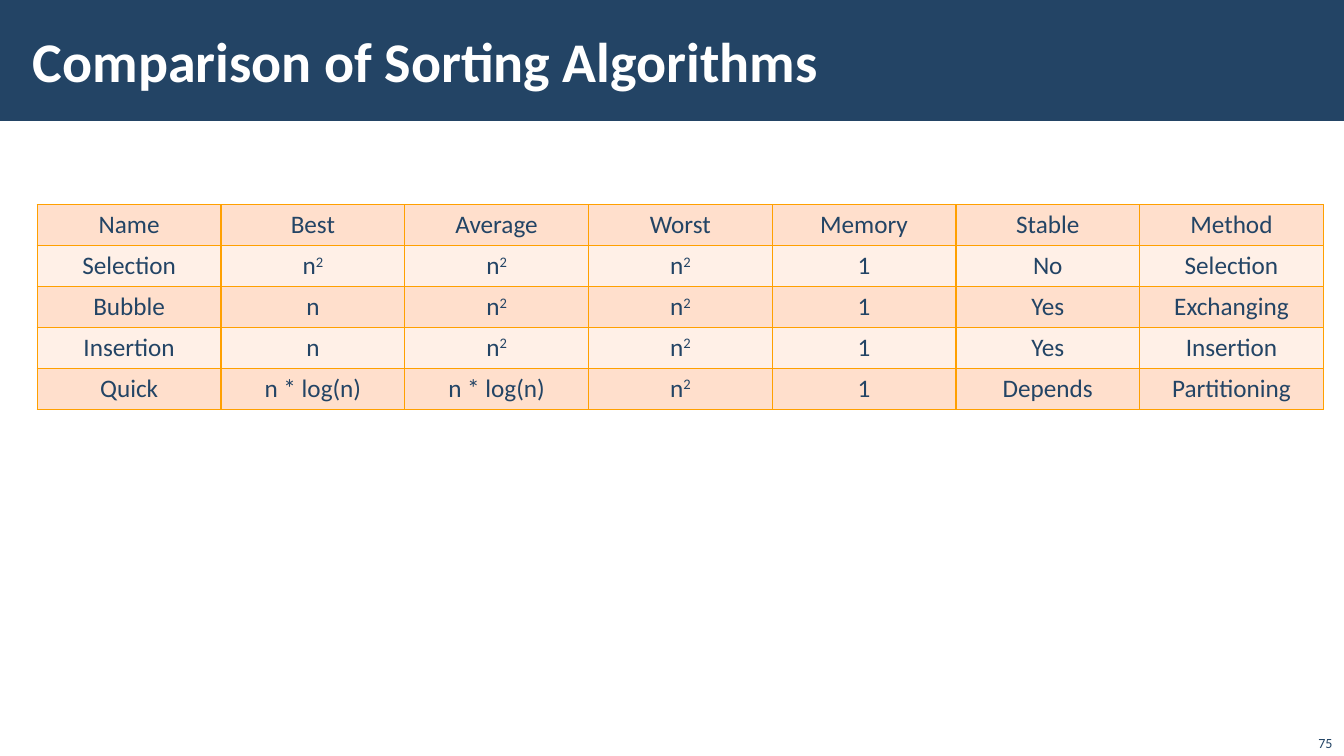
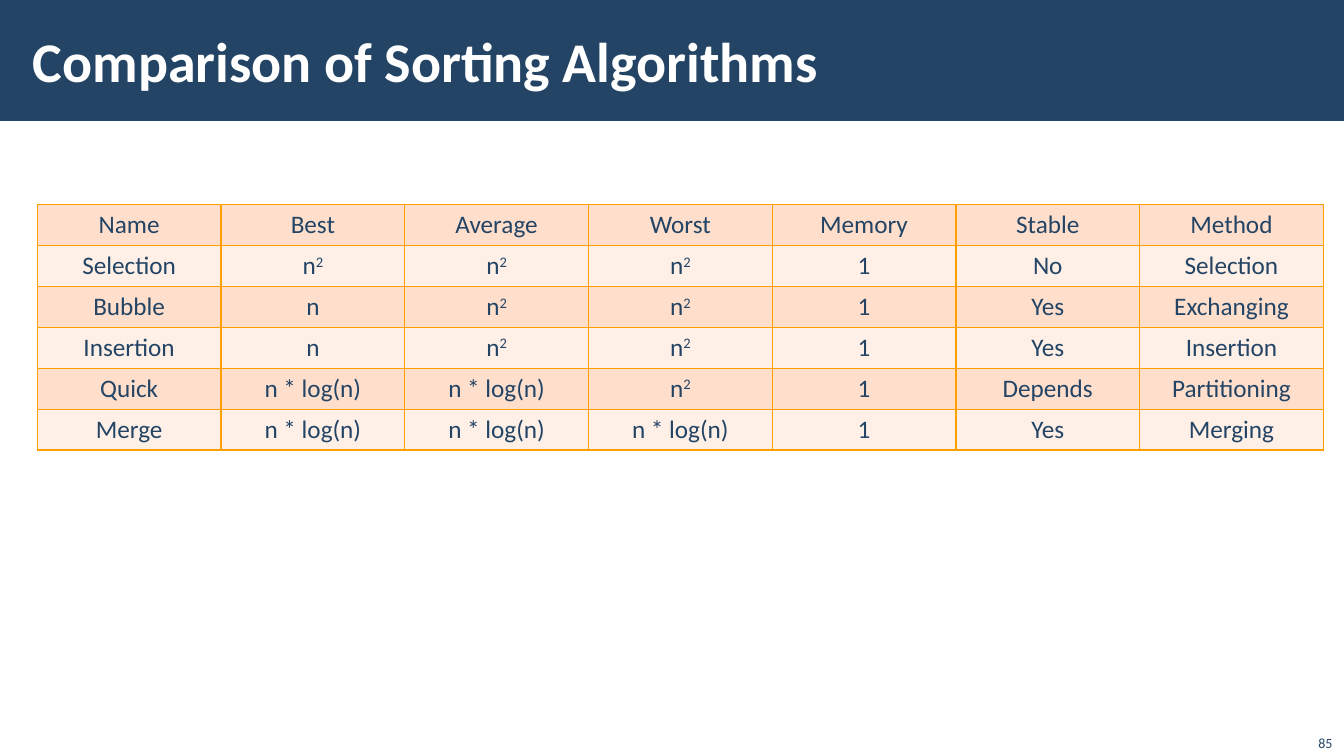
from lxml.etree import SubElement
from pptx import Presentation
from pptx.dml.color import RGBColor
from pptx.enum.shapes import MSO_SHAPE
from pptx.enum.text import MSO_ANCHOR, MSO_AUTO_SIZE, PP_ALIGN
from pptx.oxml.ns import qn
from pptx.util import Cm, Pt

# Shared style
NAVY = RGBColor(0x23, 0x44, 0x65)
WHITE = RGBColor(0xFF, 0xFF, 0xFF)
ORANGE = RGBColor(0xFF, 0xA0, 0x00)
PEACH = RGBColor(0xFF, 0xDF, 0xCC)
PALE_PEACH = RGBColor(0xFF, 0xF0, 0xE7)
FONT = "Calibri"
TITLE = "Comparison of Sorting Algorithms"
COLUMN_WIDTH = Cm(4.63)
ROW_HEIGHT = Cm(1.03)

# Table content; a caret marks an exponent
HEADER = ["Name", "Best", "Average", "Worst", "Memory", "Stable", "Method"]
ALGORITHMS = [
    ["Selection", "n^2", "n^2", "n^2", "1", "No", "Selection"],
    ["Bubble", "n", "n^2", "n^2", "1", "Yes", "Exchanging"],
    ["Insertion", "n", "n^2", "n^2", "1", "Yes", "Insertion"],
    ["Quick", "n * log(n)", "n * log(n)", "n^2", "1", "Depends", "Partitioning"],
    ["Merge", "n * log(n)", "n * log(n)", "n * log(n)", "1", "Yes", "Merging"],
]
# Page number and number of algorithms compared on each slide
PAGES = [("75", 4), ("85", 5)]


def style_font(font, size, color, bold=False):
    font.name = FONT
    font.size = Pt(size)
    font.color.rgb = color
    font.bold = bold


def fill_cell(cell, text, color):
    properties = cell._tc.get_or_add_tcPr()
    for side in ("a:lnL", "a:lnR", "a:lnT", "a:lnB"):
        line = SubElement(properties, qn(side), w=str(Pt(1)))
        line_fill = SubElement(line, qn("a:solidFill"))
        SubElement(line_fill, qn("a:srgbClr"), val=str(ORANGE))
    cell.fill.solid()
    cell.fill.fore_color.rgb = color

    paragraph = cell.text_frame.paragraphs[0]
    paragraph.alignment = PP_ALIGN.CENTER
    base, _, exponent = text.partition("^")
    paragraph.text = base
    if exponent:
        run = paragraph.add_run()
        run.text = exponent
        run._r.get_or_add_rPr().set("baseline", "30000")
    for run in paragraph.runs:
        style_font(run.font, 18, NAVY)


presentation = Presentation()
presentation.slide_width = Cm(33.87)
presentation.slide_height = Cm(19.05)

for page_number, algorithm_count in PAGES:
    slide = presentation.slides.add_slide(presentation.slide_layouts[5])

    # Title on its band
    title = slide.shapes.title
    band = slide.shapes.add_shape(
        MSO_SHAPE.RECTANGLE, 0, 0, presentation.slide_width, Cm(3.05))
    band.shadow.inherit = False
    band.fill.solid()
    band.fill.fore_color.rgb = NAVY
    band.line.fill.background()
    title.element.addprevious(band.element)

    title.left, title.top, title.width, title.height = Cm(0.53), Cm(0.28), Cm(27), Cm(2.46)
    frame = title.text_frame
    frame.text = TITLE
    frame.auto_size = MSO_AUTO_SIZE.NONE
    frame.vertical_anchor = MSO_ANCHOR.MIDDLE
    frame.margin_left = frame.margin_right = Cm(0.3)
    frame.margin_top = frame.margin_bottom = Cm(0.1)
    frame.paragraphs[0].alignment = PP_ALIGN.LEFT
    style_font(frame.paragraphs[0].runs[0].font, 40, WHITE, bold=True)

    # Page number
    number_box = slide.shapes.add_textbox(Cm(32.56), Cm(18.24), Cm(1.27), Cm(0.81))
    frame = number_box.text_frame
    frame.text = page_number
    frame.word_wrap = True
    frame.vertical_anchor = MSO_ANCHOR.BOTTOM
    frame.paragraphs[0].alignment = PP_ALIGN.RIGHT
    style_font(frame.paragraphs[0].runs[0].font, 10, NAVY)

    # Comparison table with alternating row colours
    rows = [HEADER] + ALGORITHMS[:algorithm_count]
    table = slide.shapes.add_table(
        len(rows), len(HEADER), Cm(0.94), Cm(5.16),
        COLUMN_WIDTH * len(HEADER), ROW_HEIGHT * len(rows)).table
    table.first_row = False
    table.horz_banding = False
    for column in table.columns:
        column.width = COLUMN_WIDTH
    for row_index, texts in enumerate(rows):
        table.rows[row_index].height = ROW_HEIGHT
        row_color = PALE_PEACH if row_index % 2 else PEACH
        for column_index, text in enumerate(texts):
            fill_cell(table.cell(row_index, column_index), text, row_color)

presentation.save("out.pptx")
